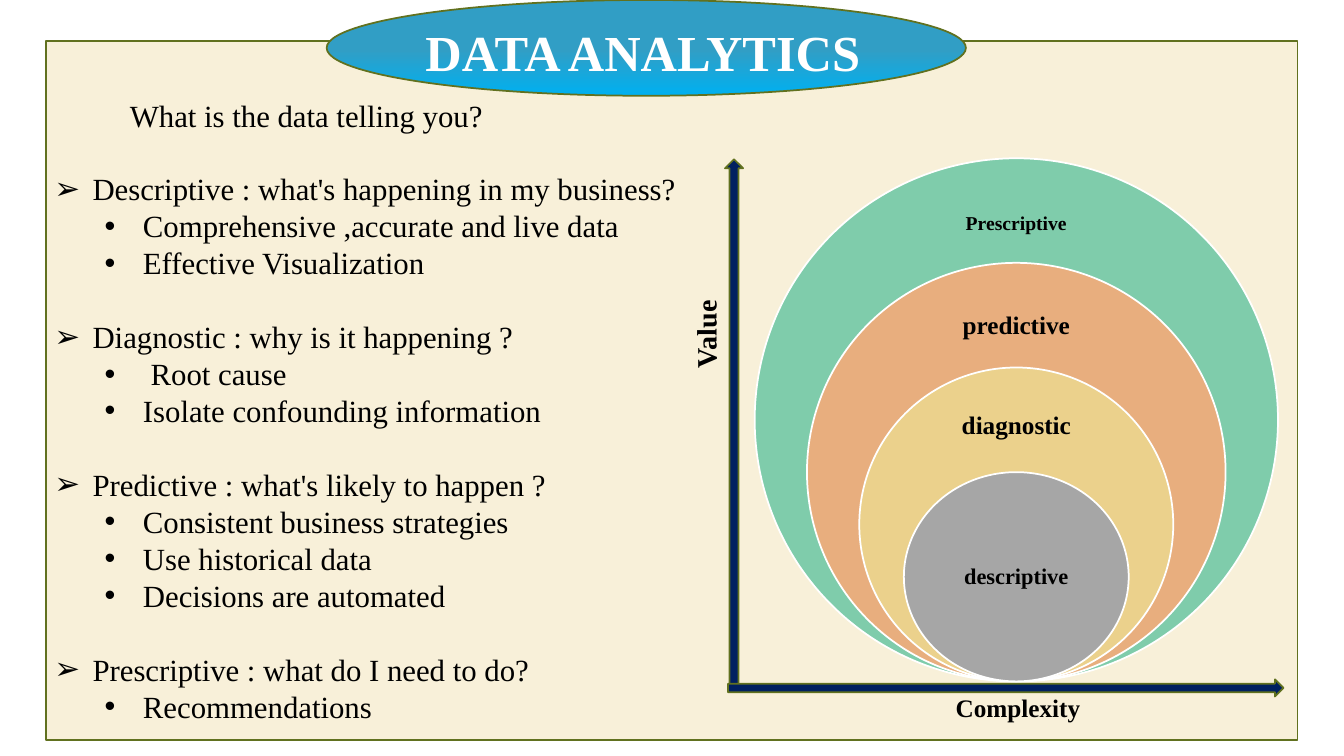
from lxml import etree
from pptx import Presentation
from pptx.dml.color import RGBColor
from pptx.enum.shapes import MSO_SHAPE as Shape
from pptx.enum.text import MSO_ANCHOR as Anchor, MSO_AUTO_SIZE as AutoSize, PP_ALIGN as Align
from pptx.oxml.ns import qn
from pptx.util import Inches, Pt

CREAM = RGBColor(0xF8, 0xF0, 0xD9)
OLIVE = RGBColor(0x61, 0x71, 0x1F)
SKY = RGBColor(0x00, 0xB0, 0xF0)
STEEL = RGBColor(0x31, 0x9E, 0xC5)
NAVY = RGBColor(0x00, 0x20, 0x60)
WHITE = RGBColor(0xFF, 0xFF, 0xFF)
BLACK = RGBColor(0x00, 0x00, 0x00)
GREEN = RGBColor(0x7F, 0xCC, 0xAB)
ORANGE = RGBColor(0xE8, 0xAE, 0x7E)
YELLOW = RGBColor(0xEB, 0xD1, 0x8C)
GREY = RGBColor(0xA6, 0xA6, 0xA6)

QUESTIONS = [
    ("Descriptive : what's happening in my business?",
     ["Comprehensive ,accurate and live data", "Effective Visualization"]),
    ("Diagnostic : why is it happening ?",
     [" Root cause", "Isolate confounding information"]),
    ("Predictive : what's likely to happen ?",
     ["Consistent business strategies", "Use historical data", "Decisions are automated"]),
    ("Prescriptive : what do I need to do?", ["Recommendations"]),
]

# label, fill, text size, label top, label height, label inset
STAGES = [
    ("Prescriptive", GREEN, 14, 1.83, 0.78, 0.11),
    ("predictive", ORANGE, 18, 2.86, 0.75, 0.14),
    ("diagnostic", YELLOW, 18, 3.88, 0.7, 0.14),
    ("descriptive", GREY, 16, 5.21, 1.04, 0.12),
]


def write(paragraph, text, size=22, bold=False, color=BLACK, align=Align.LEFT,
          spacing=None, before=0):
    paragraph.alignment = align
    paragraph.line_spacing = spacing
    paragraph.space_before = Pt(before)
    run = paragraph.add_run()
    run.text = text
    font = run.font
    font.name, font.size, font.bold = "Times New Roman", Pt(size), bold
    font.color.rgb = color


def indent(paragraph, left, bullet=None):
    """Set the left margin and, with a bullet, a hanging indent."""
    props = paragraph._p.get_or_add_pPr()
    props.set("marL", str(Inches(left)))
    if bullet:
        props.set("indent", str(Inches(-0.38)))
        etree.SubElement(props, qn("a:buFont")).set("typeface", "Arial")
        etree.SubElement(props, qn("a:buChar")).set("char", bullet)


class AnalyticsSlide:
    line_width = Pt(1.25)

    def __init__(self, deck):
        self.slide = deck.slides.add_slide(deck.slide_layouts[5])

    def shape(self, kind, left, top, width, height, fill=None, line=OLIVE):
        shape = self.slide.shapes.add_shape(
            kind, Inches(left), Inches(top), Inches(width), Inches(height))
        shape.shadow.inherit = False
        if fill is not None:
            shape.fill.solid()
            shape.fill.fore_color.rgb = fill
        shape.line.color.rgb = line
        shape.line.width = self.line_width
        return shape

    def title(self, text, left, top, width, height):
        title = self.slide.shapes.title
        title.left, title.top = Inches(left), Inches(top)
        title.width, title.height = Inches(width), Inches(height)
        title.text_frame.auto_size = AutoSize.NONE
        title.text_frame.vertical_anchor = Anchor.TOP
        write(title.text_frame.paragraphs[0], text, size=36, bold=True, color=WHITE)
        # Bring the title in front of the banner
        self.slide.shapes._spTree.append(title._element)

    def text_box(self, left, top, width, height, anchor=Anchor.TOP, inset=None):
        frame = self.slide.shapes.add_textbox(
            Inches(left), Inches(top), Inches(width), Inches(height)).text_frame
        frame.word_wrap = True
        frame.vertical_anchor = anchor
        if inset is not None:
            frame.margin_left = frame.margin_right = Inches(inset)
            frame.margin_top = frame.margin_bottom = Inches(inset)
        return frame

    def nested_circles(self, center, bottom, diameter):
        for rank, (label, fill, size, top, height, inset) in enumerate(STAGES):
            tall = diameter * (1 - 0.2 * rank)
            innermost = rank == len(STAGES) - 1
            wide = 2.23 if innermost else tall
            self.shape(Shape.OVAL, center - wide / 2, bottom - tall, wide, tall, fill, WHITE)
            label_width = 1.57 if innermost else 1.45
            frame = self.text_box(center - label_width / 2, top, label_width, height,
                                  Anchor.MIDDLE, inset)
            write(frame.paragraphs[0], label, size=size, bold=True,
                  align=Align.CENTER, spacing=0.9)

    def questions(self, left, top, width, height):
        frame = self.text_box(left, top, width, height)
        row = 26.4
        indent(frame.paragraphs[0], 0.75)
        write(frame.paragraphs[0], "What is the data telling you?", spacing=Pt(29))
        for question, answers in QUESTIONS:
            heading = frame.add_paragraph()
            indent(heading, 0.38, "➢")
            write(heading, question, spacing=Pt(row), before=row)
            for answer in answers:
                item = frame.add_paragraph()
                item.level = 1
                indent(item, 0.88, "•")
                write(item, answer, spacing=Pt(row))


def main():
    deck = Presentation()
    deck.slide_width, deck.slide_height = Inches(13.33), Inches(7.5)
    page = AnalyticsSlide(deck)

    page.shape(Shape.RECTANGLE, 0.46, 0.41, 12.41, 6.93, CREAM)
    banner = page.shape(Shape.OVAL, 3.24, 0, 6.34, 0.95)
    banner.fill.gradient()
    banner.fill.gradient_angle = 90
    for stop, color, position in zip(banner.fill.gradient_stops, (SKY, STEEL), (0, 0.48)):
        stop.color.rgb = color
        stop.position = position
    page.title("DATA ANALYTICS", 4.12, 0.16, 4.65, 0.71)

    page.nested_circles(center=10.08, bottom=6.76, diameter=5.19)

    page.shape(Shape.UP_ARROW, 7.19, 1.58, 0.18, 5.28, NAVY)
    page.shape(Shape.RIGHT_ARROW, 7.22, 6.74, 5.51, 0.17, NAVY)
    value = page.text_box(6.78, 2.08, 0.54, 1.67)
    value._txBody.bodyPr.set("vert", "vert270")
    write(value.paragraphs[0], "Value", size=20, bold=True)
    complexity = page.text_box(9.38, 6.82, 3.16, 0.4)
    write(complexity.paragraphs[0], "Complexity", size=18, bold=True)

    page.questions(0.44, 0.87, 6.84, 6.43)
    deck.save("out.pptx")


if __name__ == "__main__":
    main()
